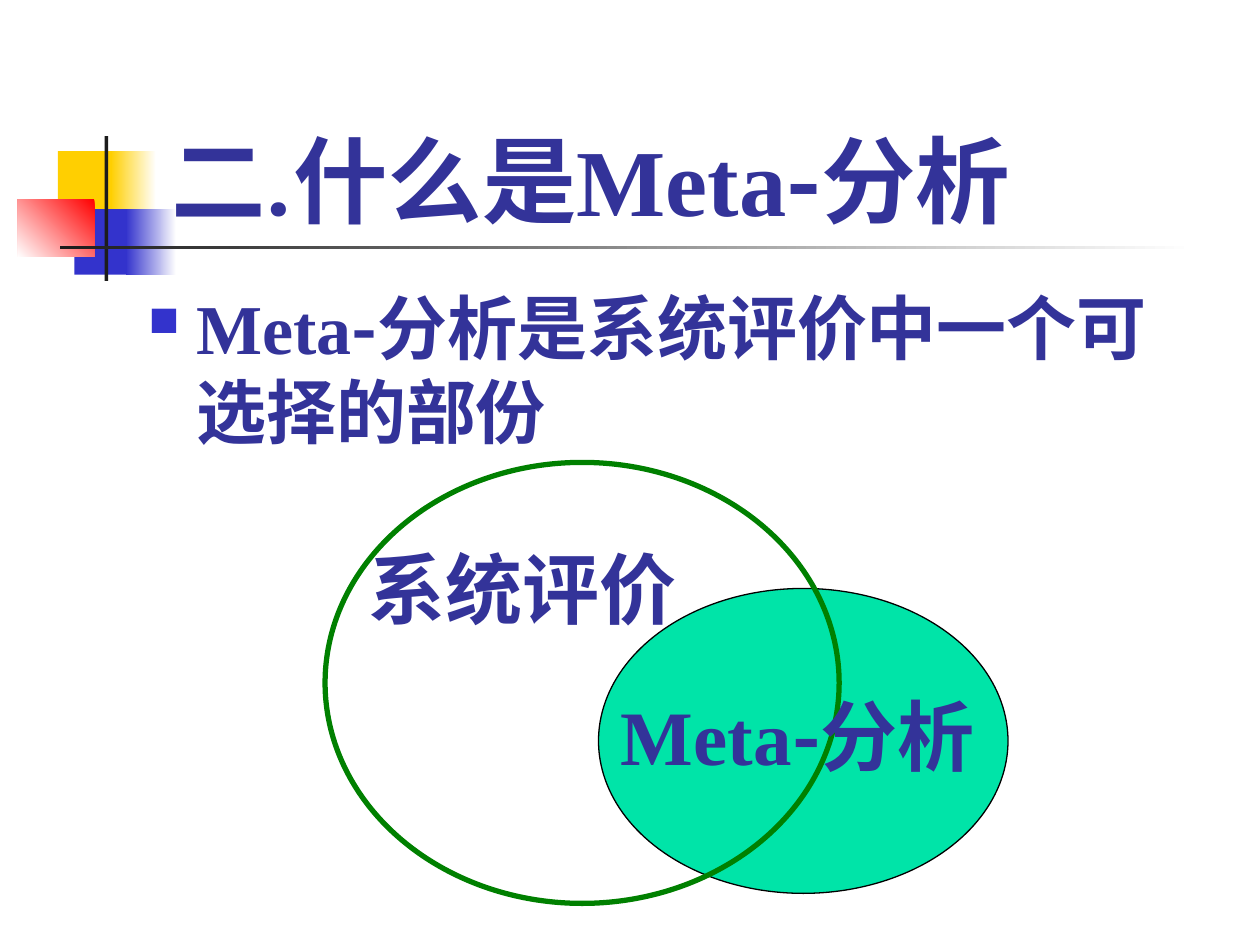
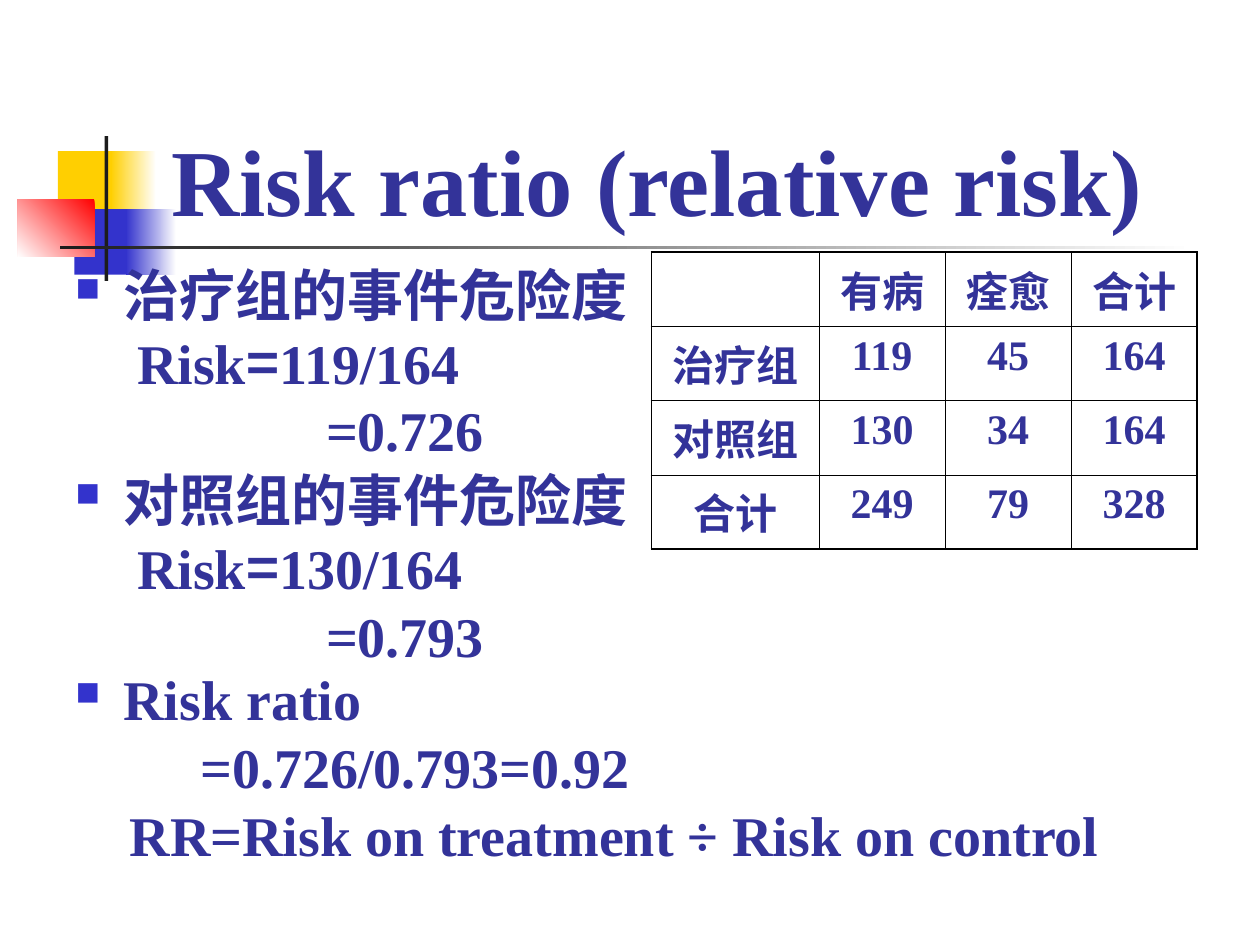
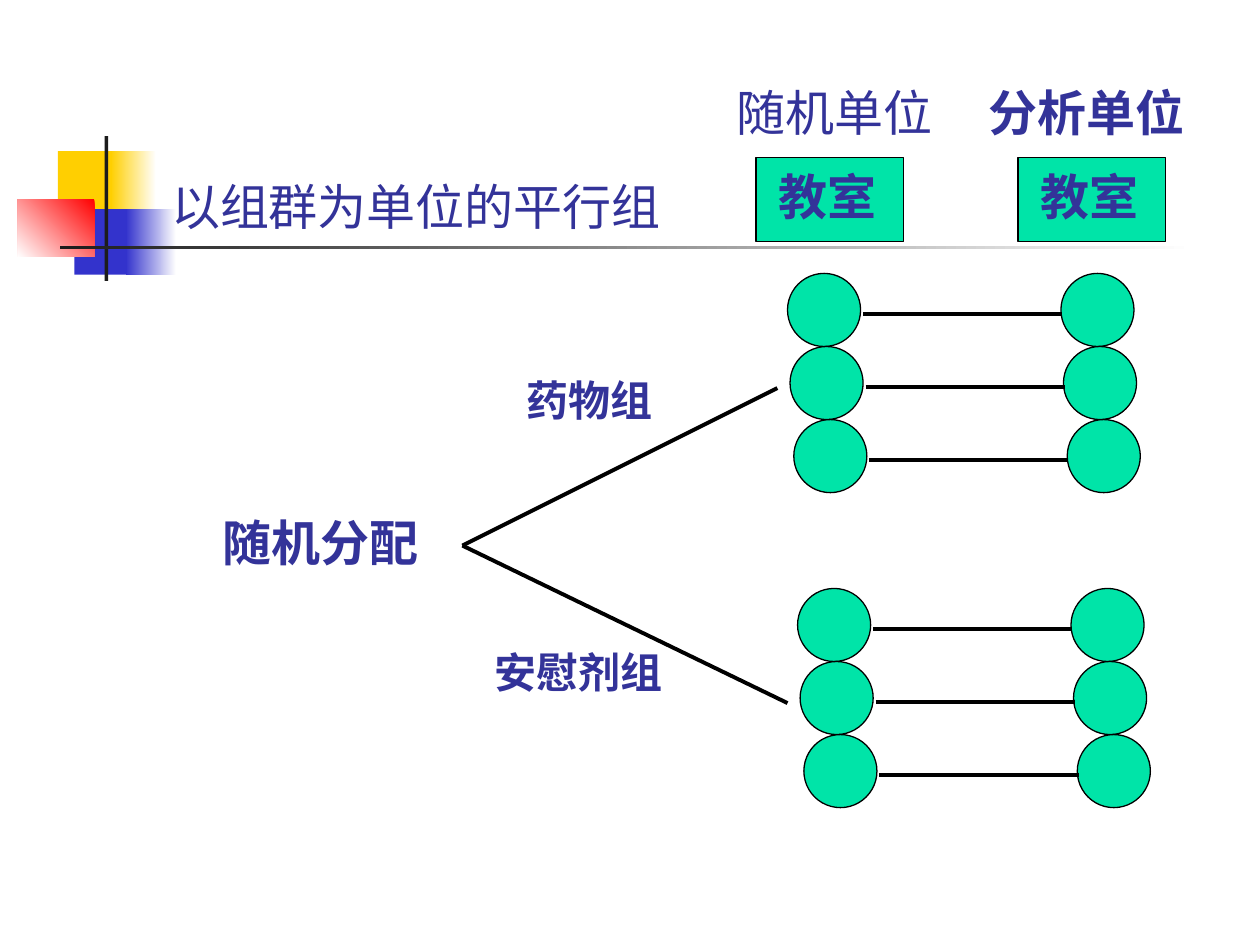
from lxml import etree
from pptx import Presentation
from pptx.dml.color import RGBColor
from pptx.enum.shapes import MSO_CONNECTOR, MSO_SHAPE
from pptx.enum.text import MSO_ANCHOR, PP_ALIGN
from pptx.oxml.ns import qn
from pptx.util import Inches, Pt

RECTANGLE, OVAL = MSO_SHAPE.RECTANGLE, MSO_SHAPE.OVAL
STRAIGHT = MSO_CONNECTOR.STRAIGHT
TOP, BOTTOM = MSO_ANCHOR.TOP, MSO_ANCHOR.BOTTOM
LEFT, CENTER = PP_ALIGN.LEFT, PP_ALIGN.CENTER

WHITE = RGBColor(0xFF, 0xFF, 0xFF)
BLACK = RGBColor(0x00, 0x00, 0x00)
INK = RGBColor(0x33, 0x33, 0x99)
BLUE = RGBColor(0x33, 0x33, 0xCC)
YELLOW = RGBColor(0xFF, 0xCF, 0x01)
RED = RGBColor(0xFF, 0x00, 0x00)
CHARCOAL = RGBColor(0x1C, 0x1C, 0x1C)
MINT = RGBColor(0x00, 0xE4, 0xA8)
GREEN = RGBColor(0x00, 0x80, 0x00)

SERIF, SANS, CJK = "Times New Roman", "Roboto", "Noto Sans CJK SC"
TITLE_BOX = (1.26, 0.67, 8.52, 1.25)
HANGING = 0.38


# Shared helpers
def inches(*values):
    return [Inches(value) for value in values]


def add_child(parent, tag, **attributes):
    return etree.SubElement(parent, qn(tag), attributes)


def add_figure(slide, kind, box, fill=None, line=None, width=0.75):
    shape = slide.shapes.add_shape(kind, *inches(*box))
    shape.shadow.inherit = False
    if fill is None:
        shape.fill.background()
    else:
        shape.fill.solid()
        shape.fill.fore_color.rgb = fill
    if line is None:
        shape.line.fill.background()
    else:
        shape.line.color.rgb = line
        shape.line.width = Pt(width)
    return shape


def add_gradient(slide, box, start, end, angle=180):
    shape = add_figure(slide, RECTANGLE, box)
    shape.fill.gradient()
    shape.fill.gradient_angle = angle
    for stop, color in zip(shape.fill.gradient_stops, (start, end)):
        stop.color.rgb = color


def add_line(slide, start, end):
    connector = slide.shapes.add_connector(STRAIGHT, *inches(*start, *end))
    connector.line.color.rgb = BLACK
    connector.line.width = Pt(2.25)
    add_child(connector._element.spPr, "a:effectLst")


def set_bullet(paragraph):
    properties = paragraph._p.get_or_add_pPr()
    add_child(add_child(properties, "a:buClr"), "a:srgbClr", val=str(BLUE))
    add_child(properties, "a:buSzPct", val="60000")
    add_child(properties, "a:buChar", char="■")


def set_indent(paragraph, margin, first=0):
    properties = paragraph._p.get_or_add_pPr()
    properties.set("marL", str(Inches(margin)))
    properties.set("indent", str(Inches(first)))


def write(paragraph, runs, size, font=SERIF, bold=True, align=LEFT):
    """Fill a paragraph from a string or from (text, font) pairs."""
    paragraph.alignment = align
    paragraph.font.size = Pt(size)
    paragraph.font.bold = bold
    paragraph.font.color.rgb = INK
    if isinstance(runs, str):
        paragraph.font.name = font
        paragraph.add_run().text = runs
    else:
        for text, name in runs:
            run = paragraph.add_run()
            run.text = text
            run.font.name = name
    defaults = paragraph._p.pPr.find(qn("a:defRPr"))
    add_child(defaults, "a:ea", typeface=CJK)


def add_frame(slide, box, anchor=TOP):
    frame = slide.shapes.add_textbox(*inches(*box)).text_frame
    frame.word_wrap = True
    frame.vertical_anchor = anchor
    return frame


def add_label(slide, box, runs, size, font=SERIF, bold=True):
    write(add_frame(slide, box, BOTTOM).paragraphs[0], runs, size, font, bold)


def add_decoration(slide, left=0.14, top=1.08):
    """Coloured squares and the fading rule behind each title."""
    def at(x, y, width, height):
        return left + x, top + y, width, height

    add_figure(slide, RECTANGLE, at(0.32, 0.12, 0.48, 0.52), YELLOW)
    add_gradient(slide, at(0.74, 0.12, 0.36, 0.52), WHITE, YELLOW)
    add_figure(slide, RECTANGLE, at(0.45, 0.58, 0.46, 0.52), BLUE)
    add_gradient(slide, at(0.86, 0.58, 0.4, 0.52), WHITE, BLUE)
    add_gradient(slide, at(0, 0.5, 0.61, 0.46), RED, WHITE, 225)
    add_figure(slide, RECTANGLE, at(0.69, 0, 0.03, 1.15), CHARCOAL)
    add_gradient(slide, at(0.34, 0.87, 9, 0.03), WHITE, CHARCOAL)


def new_slide(presentation, title, box=TITLE_BOX, size=54, font=SERIF, bold=True):
    slide = presentation.slides.add_slide(presentation.slide_layouts[6])
    add_decoration(slide)
    add_label(slide, box, title, size, font, bold)
    return slide


# Slide 1: definition
def add_venn(slide, left, top):
    add_figure(slide, OVAL, (left + 2.17, top + 1, 3.25, 2.42), MINT, BLACK)
    add_figure(slide, OVAL, (left, top, 4.08, 3.5), line=GREEN, width=3)
    add_label(slide, (left + 2.25, top + 1.75, 3.25, 0.83),
              [("Meta", SERIF), ("-分析", CJK)], 44)
    add_label(slide, (left + 0.25, top + 0.58, 3.25, 0.83), "系统评价", 44)


def build_definition(presentation):
    slide = new_slide(presentation,
                      [("二.什么是", SANS), ("Meta", SERIF), ("-分析", CJK)])
    paragraph = add_frame(slide, (1.08, 2.21, 8.5, 1.54)).paragraphs[0]
    set_indent(paragraph, HANGING, -HANGING)
    set_bullet(paragraph)
    write(paragraph, [("Meta", SERIF), ("-分析是系统评价中一个可选择的部份", CJK)], 40)
    add_venn(slide, 2.58, 3.67)


# Slide 2: risk ratio
def add_steps(slide, box, heading, font, steps):
    """A bulleted heading followed by (indent, runs) lines."""
    frame = add_frame(slide, box)
    paragraph = frame.paragraphs[0]
    paragraph.line_spacing = 0.8
    set_indent(paragraph, HANGING, -HANGING)
    set_bullet(paragraph)
    write(paragraph, heading, 32, font)
    for indent, runs in steps:
        paragraph = frame.add_paragraph()
        paragraph.line_spacing = 0.8
        paragraph.space_before = Pt(8)
        set_indent(paragraph, indent)
        write(paragraph, runs, 32)


def risk_steps(fraction, result):
    return [(0.49, [("Risk", SERIF), ("=", CJK), (fraction, SERIF)]),
            (1.99, [("=" + result, SERIF)])]


def set_borders(cell, widths):
    properties = cell._tc.get_or_add_tcPr()
    for index, (side, width) in enumerate(zip("LRTB", widths)):
        line = etree.Element(qn(f"a:ln{side}"), w=str(Pt(width)))
        fill = add_child(line, "a:solidFill")
        add_child(fill, "a:srgbClr", val=str(BLACK))
        properties.insert(index, line)


def add_outcome_table(slide, left, top):
    rows = [["", "有病", "痊愈", "合计"],
            ["治疗组", "119", "45", "164"],
            ["对照组", "130", "34", "164"],
            ["合计", "249", "79", "328"]]
    widths, height = (1.33, 1, 1, 1), 0.59
    last = len(rows) - 1
    outer, inner = 1.08, 0.45
    box = inches(left, top, sum(widths), height * len(rows))
    table = slide.shapes.add_table(len(rows), len(widths), *box).table
    table.first_row = table.horz_banding = False
    for column, width in zip(table.columns, widths):
        column.width = Inches(width)
    for row_index, values in enumerate(rows):
        table.rows[row_index].height = Inches(height)
        for column_index, value in enumerate(values):
            cell = table.cell(row_index, column_index)
            cell.fill.background()
            edges = (column_index == 0, column_index == last,
                     row_index == 0, row_index == last)
            set_borders(cell, [outer if edge else inner for edge in edges])
            if value:
                font = SERIF if value.isdigit() else CJK
                write(cell.text_frame.paragraphs[0], value, 24, font, align=CENTER)


def build_risk_ratio(presentation):
    slide = new_slide(presentation, "Risk ratio (relative risk)")
    add_steps(slide, (0.5, 2.12, 5.17, 1.63), "治疗组的事件危险度", CJK,
              risk_steps("119/164", "0.726"))
    add_outcome_table(slide, 5.17, 2)
    add_steps(slide, (0.5, 3.75, 5.17, 1.75), "对照组的事件危险度", CJK,
              risk_steps("130/164", "0.793"))
    add_steps(slide, (0.5, 5.33, 8.92, 1.75), "Risk ratio", SERIF,
              [(0.99, "=0.726/0.793=0.92"),
               (0.43, "RR=Risk on treatment ÷ Risk on control")])


# Slide 3: cluster randomisation
def add_unit_box(slide, left, top):
    shape = add_figure(slide, RECTANGLE, (left, top, 1.17, 0.67), MINT, BLACK)
    frame = shape.text_frame
    frame.vertical_anchor = BOTTOM
    frame.margin_left, frame.margin_right, frame.margin_bottom = inches(0.18, 0, 0.13)
    write(frame.paragraphs[0], "教室", 28, SANS)


def add_classrooms(slide, left, top):
    """Three linked pairs of circles, each a little further right."""
    diameter, gap = 0.58, 2.17
    for row, shift in enumerate((0, 0.02, 0.05)):
        x, y = left + shift, top + row * diameter
        for circle_left in (x, x + gap):
            add_figure(slide, OVAL, (circle_left, y, diameter, diameter), MINT, BLACK)
        add_line(slide, (x + 0.6, y + 0.32), (x + gap + 0.01, y + 0.32))


def build_cluster_design(presentation):
    slide = new_slide(presentation, "以组群为单位的平行组",
                      (1.26, 1.33, 4.16, 0.59), 28, SANS, False)
    # Column headings
    add_label(slide, (5.75, 0.58, 1.83, 0.59), "随机单位", 28, SANS, False)
    add_label(slide, (7.75, 0.58, 1.83, 0.59), "分析单位", 28, SANS)
    for left in (6, 8.08):
        add_unit_box(slide, left, 1.25)
    # Two arms
    add_classrooms(slide, 6.25, 2.17)
    add_classrooms(slide, 6.33, 4.67)
    for end in ((6.17, 3.08), (6.25, 5.58)):
        add_line(slide, (3.67, 4.33), end)
    add_label(slide, (4.08, 2.83, 1.75, 0.59), "药物组", 24, SANS)
    add_label(slide, (3.83, 4.99, 1.75, 0.59), "安慰剂组", 24, SANS)
    add_label(slide, (1.67, 3.99, 2.17, 0.59), "随机分配", 28, SANS)


def main():
    presentation = Presentation()
    presentation.slide_width, presentation.slide_height = inches(10, 7.5)
    build_definition(presentation)
    build_risk_ratio(presentation)
    build_cluster_design(presentation)
    presentation.save("out.pptx")


if __name__ == "__main__":
    main()
